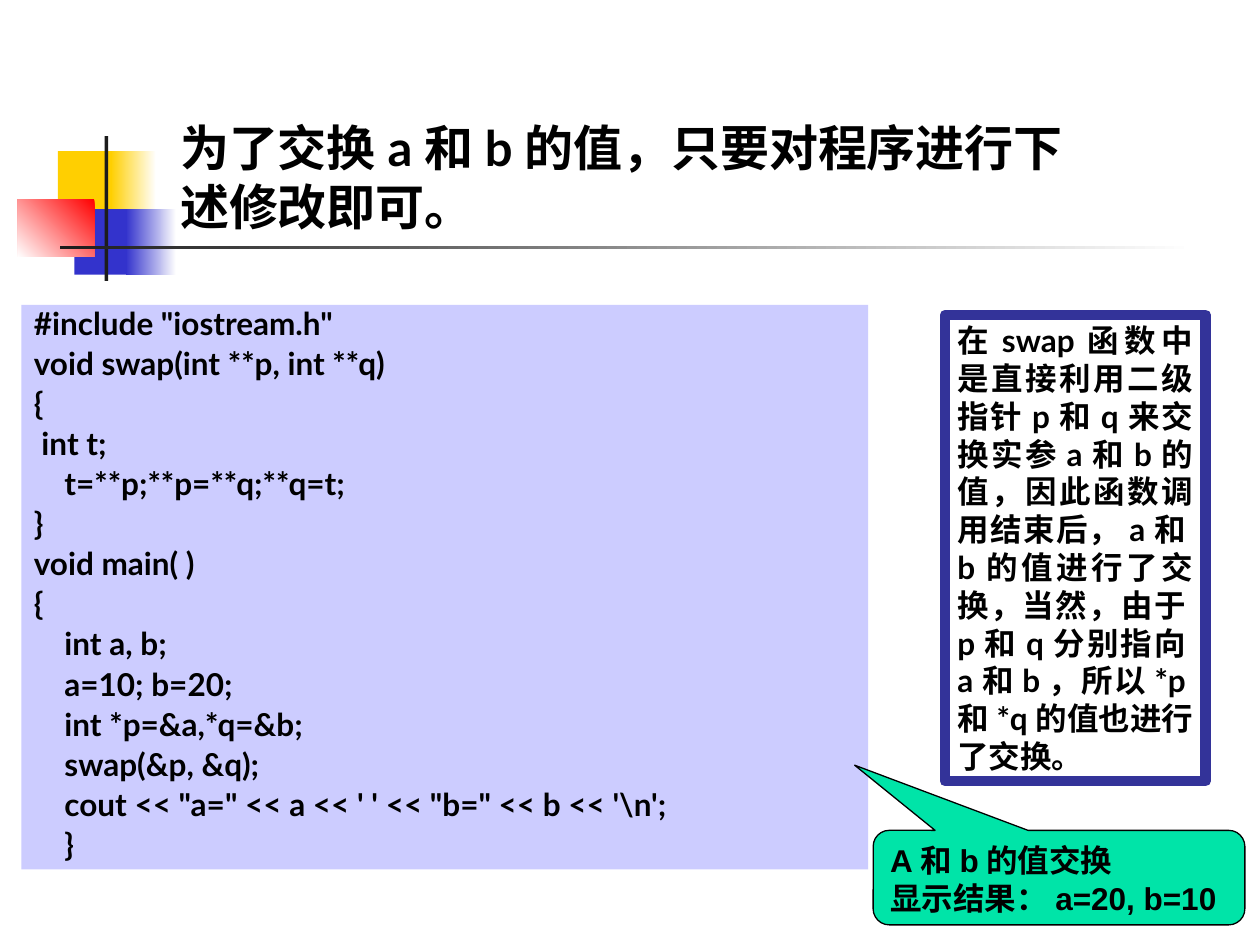
from dataclasses import dataclass
from itertools import groupby
from typing import Optional

import pptx
import pptx.dml.color
import pptx.enum.shapes
import pptx.enum.text
import pptx.util

RGBColor = pptx.dml.color.RGBColor
Shape = pptx.enum.shapes.MSO_SHAPE
Align = pptx.enum.text.PP_ALIGN
Anchor = pptx.enum.text.MSO_ANCHOR
AutoSize = pptx.enum.text.MSO_AUTO_SIZE

BLACK = RGBColor(0x00, 0x00, 0x00)
WHITE = RGBColor(0xFF, 0xFF, 0xFF)
YELLOW = RGBColor(0xFF, 0xCF, 0x01)
BLUE = RGBColor(0x33, 0x33, 0xCC)
RED = RGBColor(0xFF, 0x00, 0x00)
CHARCOAL = RGBColor(0x1C, 0x1C, 0x1C)
LAVENDER = RGBColor(0xCC, 0xCC, 0xFF)
NAVY = RGBColor(0x33, 0x33, 0x99)
GREEN = RGBColor(0x00, 0xE4, 0xA8)

EMU_PER_PX = 9144  # 100 px to the inch


def px(length: int) -> int:
    return pptx.util.Emu(length * EMU_PER_PX)


@dataclass(frozen=True)
class Box:
    left: int
    top: int
    width: int
    height: int

    def emu(self) -> tuple:
        return tuple(px(n) for n in (self.left, self.top, self.width, self.height))


@dataclass(frozen=True)
class Ornament:
    box: Box
    start: RGBColor
    end: Optional[RGBColor] = None  # set for a gradient
    angle: int = 180


ORNAMENTS = [
    Ornament(Box(46, 120, 48, 52), YELLOW),
    Ornament(Box(88, 120, 36, 52), WHITE, YELLOW),
    Ornament(Box(59, 166, 46, 52), BLUE),
    Ornament(Box(100, 166, 40, 52), WHITE, BLUE),
    Ornament(Box(14, 158, 61, 46), RED, WHITE, angle=225),
    Ornament(Box(83, 108, 3, 115), CHARCOAL),
    Ornament(Box(48, 195, 900, 3), WHITE, CHARCOAL),
]

TITLE = "为了交换a和b的值，只要对程序进行下述修改即可。"

CODE = r"""#include "iostream.h"
void swap(int **p, int **q)
{
 int t;
    t=**p;**p=**q;**q=t;
}
void main( )
{
    int a, b;
    a=10; b=20;
    int *p=&a,*q=&b;
    swap(&p, &q);
    cout << "a=" << a << ' ' << "b=" << b << '\n';
    }"""

EXPLANATION = (
    "在swap函数中是直接利用二级指针p和q来交换实参a和b的值，"
    "因此函数调用结束后，a和b的值进行了交换，当然，由于p和q分别指向a和b，"
    "所以*p和*q的值也进行了交换。"
)

RESULT = "A和b的值交换\n显示结果：a=20, b=10"


def add_box(slide, box: Box, fill: Optional[RGBColor] = None,
            line: Optional[RGBColor] = None, line_width: float = 0.75,
            kind=Shape.RECTANGLE):
    shape = slide.shapes.add_shape(kind, *box.emu())
    shape.shadow.inherit = False
    if fill is None:
        shape.fill.background()
    else:
        shape.fill.solid()
        shape.fill.fore_color.rgb = fill
    if line is None:
        shape.line.fill.background()
    else:
        shape.line.color.rgb = line
        shape.line.width = pptx.util.Pt(line_width)
    return shape


def draw_ornament(slide, ornament: Ornament) -> None:
    shape = add_box(slide, ornament.box, fill=ornament.start)
    if ornament.end is not None:
        shape.fill.gradient()
        shape.fill.gradient_angle = ornament.angle
        for stop, color in zip(shape.fill.gradient_stops, (ornament.start, ornament.end)):
            stop.color.rgb = color


def write_text(shape, text: str, *, size: int = 18, latin: str = "Lato",
               chinese: str = "Times New Roman", align=Align.LEFT,
               anchor=Anchor.TOP, auto_size=AutoSize.NONE,
               line_spacing: float = 1.0, space_before: float = 0) -> None:
    """Write one paragraph per line, with a font for each script."""
    frame = shape.text_frame
    frame.word_wrap = True
    frame.auto_size = auto_size
    frame.vertical_anchor = anchor
    frame.margin_left = frame.margin_right = px(10)
    frame.margin_top = frame.margin_bottom = px(5)
    for index, line in enumerate(text.split("\n")):
        paragraph = frame.add_paragraph() if index else frame.paragraphs[0]
        paragraph.alignment = align
        paragraph.line_spacing = line_spacing
        paragraph.space_before = pptx.util.Pt(space_before if index else 0)
        for is_latin, letters in groupby(line, str.isascii):
            run = paragraph.add_run()
            run.text = "".join(letters)
            run.font.name = latin if is_latin else chinese
            run.font.size = pptx.util.Pt(size)
            run.font.bold = True
            run.font.color.rgb = BLACK


def main() -> None:
    deck = pptx.Presentation()
    deck.slide_width, deck.slide_height = px(1000), px(750)
    slide = deck.slides.add_slide(deck.slide_layouts[5])

    # Coloured squares and rules beside the title
    for ornament in ORNAMENTS:
        draw_ornament(slide, ornament)

    # Title
    title = slide.shapes.title
    title.left, title.top, title.width, title.height = Box(133, 67, 732, 125).emu()
    write_text(title, TITLE, size=28, anchor=Anchor.BOTTOM)

    # Program listing
    listing = add_box(slide, Box(17, 242, 672, 448), fill=LAVENDER)
    write_text(listing, CODE, line_spacing=0.8, space_before=5.6,
               auto_size=AutoSize.SHAPE_TO_FIT_TEXT)

    # Explanation
    explanation = add_box(slide, Box(750, 250, 207, 370), line=NAVY, line_width=6)
    write_text(explanation, EXPLANATION, align=Align.JUSTIFY,
               auto_size=AutoSize.SHAPE_TO_FIT_TEXT)

    # Result callout
    callout = add_box(slide, Box(693, 659, 295, 75), fill=GREEN, line=BLACK,
                      kind=Shape.ROUNDED_RECTANGULAR_CALLOUT)
    for index, value in enumerate((-0.55, -1.19, 0.17)):
        callout.adjustments[index] = value
    write_text(callout, RESULT, latin="Arial", chinese="Arial")

    deck.save("out.pptx")


if __name__ == "__main__":
    main()
